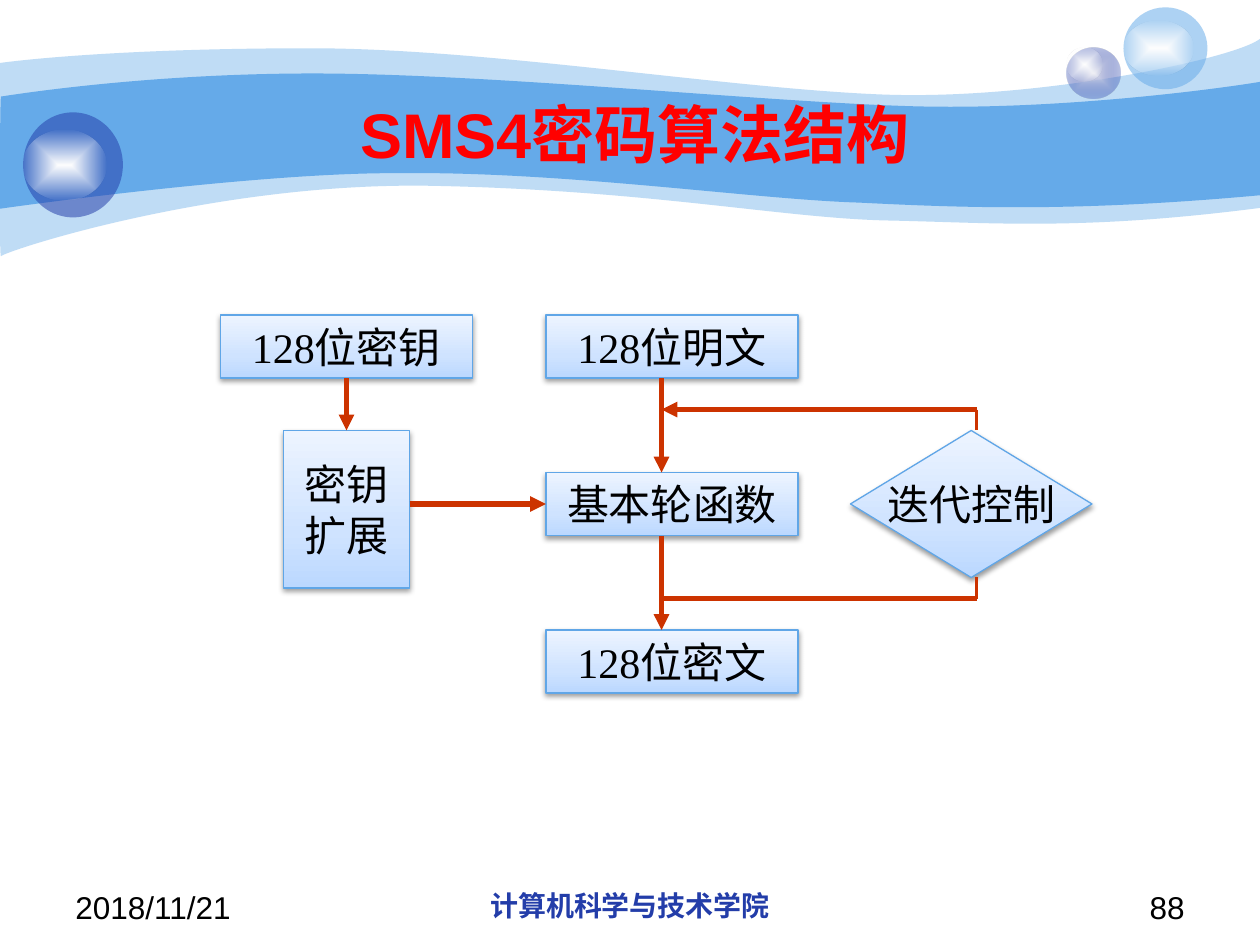
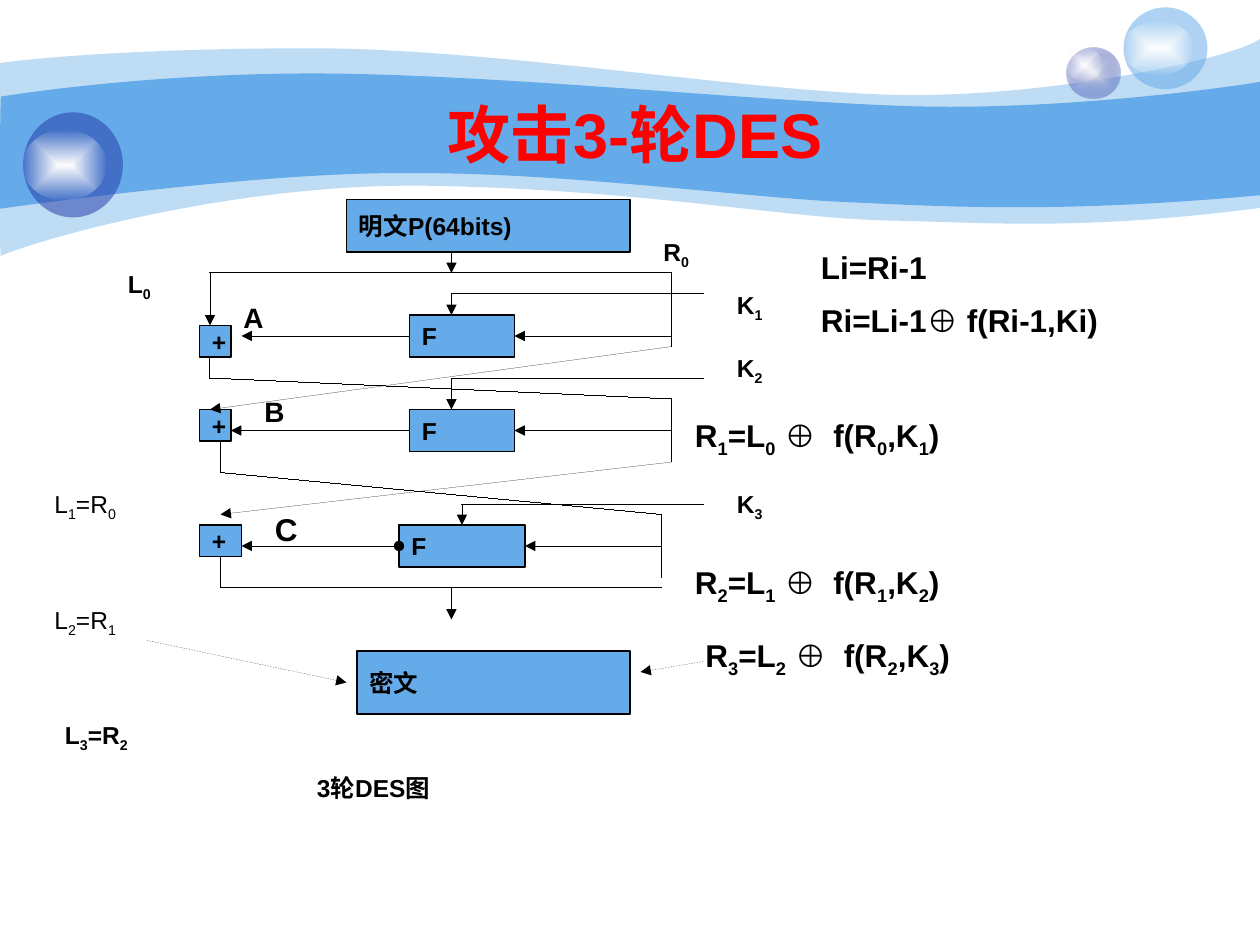
"""Build two cipher slides: the SMS4 structure and the attack on 3-round DES."""
from itertools import pairwise

from lxml import etree
from pptx import Presentation
from pptx.dml.color import RGBColor
from pptx.enum.dml import MSO_LINE
from pptx.enum.shapes import MSO_CONNECTOR, MSO_SHAPE
from pptx.enum.text import MSO_ANCHOR, PP_ALIGN
from pptx.oxml import parse_xml
from pptx.oxml.ns import nsdecls, qn
from pptx.util import Pt

PX = 7620
COLORS = {
    "sky": "65AAE9", "navy": "233DA9", "white": "FFFFFF", "mist": "E1E2ED",
    "red": "FF0000", "black": "000000", "arrow": "CC3300", "edge": "60A6E7",
    "ice1": "BBD8FF", "ice2": "CFE3FF", "ice3": "EDF4FF",
}
SKY = [(0, "sky", 100)]
GLOSS = [(0, "white", 100), (100, "white", 0)]
ICE = [(0, "ice1", 100), (35, "ice2", 100), (100, "ice3", 100)]
CENTRE = '<a:path path="shape"><a:fillToRect l="50000" t="50000" r="50000" b="50000"/></a:path>'
UPWARD = '<a:lin ang="16200000" scaled="0"/>'
SHADOW = (f'<a:outerShdw {nsdecls("a")} blurRad="40000" dist="20000" dir="5400000" rotWithShape="0">'
          '<a:srgbClr val="000000"><a:alpha val="38000"/></a:srgbClr></a:outerShdw>')

ARIAL = {"name": "Arial", "bold": False}
BOLD = {"name": "Arial", "bold": True}
MIDDLE = {"vertical_anchor": MSO_ANCHOR.MIDDLE}
FREE = MIDDLE | {"word_wrap": False}
WRAP = {"word_wrap": True}
STYLES = {
    "title": (BOLD, 36, "red", PP_ALIGN.CENTER, MIDDLE | WRAP),
    "date": (ARIAL, 18, "black", PP_ALIGN.LEFT, WRAP),
    "school": (BOLD, 16, "navy", PP_ALIGN.CENTER, WRAP),
    "number": (ARIAL, 18, "black", PP_ALIGN.RIGHT, WRAP),
    "step": ({"name": "Times New Roman"}, 24, "black", PP_ALIGN.CENTER, FREE),
    "block": (BOLD, 14, "black", PP_ALIGN.LEFT, FREE),
    "label": (BOLD, 14, "black", PP_ALIGN.LEFT, WRAP),
    "thin": (ARIAL, 14, "black", PP_ALIGN.LEFT, WRAP),
    "letter": (BOLD, 16, "black", PP_ALIGN.LEFT, WRAP),
    "formula": (BOLD, 18, "black", PP_ALIGN.LEFT, WRAP),
}


def add(s, kind, at, text="", style="label", stops=(), shade=CENTRE, edge=None, shadow=False):
    """Add a text box, preset shape or curved outline; ~ switches subscript on and off."""
    if kind is None:
        sp = s.shapes.add_textbox(*[v * PX for v in at])
    elif kind == "outline":
        points = [pt for part in at for pt in zip(part[::2], part[1::2])]
        fb = s.shapes.build_freeform(*points[0], scale=PX)
        fb.add_line_segments(points[1:], close=True)
        sp = fb.convert_to_shape()
        steps = iter(list(sp._element.iter(qn("a:lnTo"))))
        for part in at[1:]:
            step = next(steps)
            if len(part) == 6:
                curve = etree.Element(qn("a:cubicBezTo"))
                step.addprevious(curve)
                for leg in (step, next(steps), next(steps)):
                    curve.append(leg[0])
                    leg.getparent().remove(leg)
    else:
        sp = s.shapes.add_shape(kind, *[v * PX for v in at])
    if kind is not None:
        sp.shadow.inherit = False
        if edge:
            sp.line.color.rgb = RGBColor.from_string(COLORS[edge])
            sp.line.width = Pt(0.75)
        else:
            sp.line.fill.background()
        inks = [(pos, f'<a:srgbClr val="{COLORS[c]}"><a:alpha val="{a * 1000}"/></a:srgbClr>')
                for pos, c, a in stops]
        if len(inks) == 1:
            xml = f'<a:solidFill {nsdecls("a")}>{inks[0][1]}</a:solidFill>'
        else:
            marks = "".join(f'<a:gs pos="{pos * 1000}">{ink}</a:gs>' for pos, ink in inks)
            xml = (f'<a:gradFill {nsdecls("a")} rotWithShape="1"><a:gsLst>{marks}</a:gsLst>'
                   f'{shade}</a:gradFill>')
        sp._element.spPr.insert(2, parse_xml(xml))
        if shadow:
            sp._element.spPr.find(qn("a:effectLst")).append(parse_xml(SHADOW))
    if not text:
        return
    font, size, color, align, frame = STYLES[style]
    tf = sp.text_frame
    for name, value in frame.items():
        setattr(tf, name, value)
    for i, row in enumerate(text.split("\n")):
        p = tf.add_paragraph() if i else tf.paragraphs[0]
        p.alignment = align
        if i and style == "formula":
            p.space_before = Pt(size / 2)
        for j, part in enumerate(row.split("~")):
            if part:
                r = p.add_run()
                r.text = part
                for name, value in (font | {"size": Pt(size)}).items():
                    setattr(r.font, name, value)
                r.font.color.rgb = RGBColor.from_string(COLORS[color])
                if j % 2:
                    r.font._element.set("baseline", "-25000")


def route(s, points, color="black", width=None, head=None, tail="triangle", dash=None):
    """Join points with straight connectors, with ends on the first and last one."""
    legs = list(pairwise(points))
    for i, (start, end) in enumerate(legs):
        cx = s.shapes.add_connector(MSO_CONNECTOR.STRAIGHT, *[v * PX for v in start + end])
        cx._element.remove(cx._element.find(qn("p:style")))
        cx.line.color.rgb = RGBColor.from_string(COLORS[color])
        if width:
            cx.line.width = Pt(width)
        if dash:
            cx.line.dash_style = dash
        ln = cx.line._get_or_add_ln()
        if head and i == 0:
            etree.SubElement(ln, qn("a:headEnd"), type=head)
        if tail and i == len(legs) - 1:
            etree.SubElement(ln, qn("a:tailEnd"), type=tail)
        etree.SubElement(cx._element.spPr, qn("a:effectLst"))


prs = Presentation()
prs.slide_width, prs.slide_height = 1200 * PX, 900 * PX

BANDS = [
    (41, [(0, 60), (29, 56, 128, 46, 296, 46), (463, 46, 690, 84, 839, 90),
          (986, 96, 1176, 56, 1200, 37), (1200, 198), (1030, 220, 944, 212, 846, 210),
          (746, 208, 618, 181, 412, 177), (206, 173, 5, 239, 1, 244), (-1, 250, 0, 90, 0, 60)]),
    (100, [(1, 92), (2, 92, 132, 70, 298, 70), (463, 70, 714, 96, 862, 101),
           (1009, 106, 1171, 83, 1200, 78), (1200, 186), (1024, 202, 918, 198, 818, 193),
           (719, 190, 536, 163, 380, 165), (244, 164, -2, 199, -1, 199), (0, 199, 0, 92, 1, 92)]),
]
BUBBLES = [
    ((1016, 45, 51, 49), [(0, "mist", 100), (100, "navy", 31)]),
    ((1016, 45, 34, 33), GLOSS),
    ((1070, 7, 80, 78), [(0, "sky", 53)]),
    ((1070, 20, 67, 52), GLOSS),
    ((22, 107, 95, 100), [(0, "navy", 53)]),
    ((22, 124, 79, 67), GLOSS),
]
slides = []
for title in ("SMS4密码算法结构", "攻击3-轮DES"):
    s = prs.slides.add_slide(prs.slide_layouts[6])
    for alpha, outline in BANDS:
        add(s, "outline", outline, stops=[(0, "sky", alpha)])
    for at, stops in BUBBLES:
        add(s, MSO_SHAPE.OVAL, at, stops=stops)
    add(s, None, (120, 90, 970, 74), title, "title")
    slides.append(s)
sms4, des = slides

for x, w, text, style in [(60, 280, "2018/11/21", "date"),
                          (410, 380, "计算机科学与技术学院", "school"),
                          (860, 280, "88", "number")]:
    add(sms4, None, (x, 840, w, 42), text, style)

RECT = MSO_SHAPE.RECTANGLE
for kind, at, text in [
    (RECT, (520, 450, 240, 60), "基本轮函数"),
    (RECT, (520, 300, 240, 60), "128位明文"),
    (RECT, (520, 600, 240, 60), "128位密文"),
    (RECT, (270, 410, 120, 150), "密钥\n扩展"),
    (RECT, (210, 300, 240, 60), "128位密钥"),
    (MSO_SHAPE.FLOWCHART_DECISION, (810, 410, 230, 140), "迭代控制"),
]:
    add(sms4, kind, at, text, "step", ICE, UPWARD, "edge", shadow=True)

for points, width, head, tail in [
    ([(330, 360), (330, 410)], 3, None, "triangle"),
    ([(390, 480), (520, 480)], 3, None, "triangle"),
    ([(630, 360), (630, 450)], 3, None, "triangle"),
    ([(630, 510), (630, 600)], 3, None, "triangle"),
    ([(630, 570), (930, 570)], 3, None, None),
    ([(930, 570), (930, 550)], 2.25, None, None),
    ([(630, 390), (930, 390)], 3, "triangle", None),
    ([(930, 390), (930, 410)], 2.25, None, None),
]:
    route(sms4, points, "arrow", width, head, tail)

for at, text in [
    ((330, 190, 270, 50), "明文P(64bits)"),
    ((390, 300, 100, 40), "F"),
    ((390, 390, 100, 40), "F"),
    ((380, 500, 120, 40), "F"),
    ((190, 310, 30, 30), "+"),
    ((190, 390, 30, 30), "+"),
    ((190, 500, 40, 30), "+"),
    ((340, 620, 260, 60), "密文"),
]:
    add(des, RECT, at, text, "block", SKY, edge="black")

for points in [
    [(430, 240), (430, 260)],
    [(640, 260), (200, 260), (200, 310)],
    [(390, 320), (230, 320)],
    [(670, 280), (430, 280), (430, 300)],
    [(640, 260), (640, 330), (200, 390)],
    [(640, 320), (490, 320)],
    [(670, 360), (430, 360), (430, 390)],
    [(390, 410), (220, 410)],
    [(640, 410), (490, 410)],
    [(200, 340), (200, 360), (640, 380), (640, 440), (210, 490)],
    [(670, 480), (440, 480), (440, 500)],
    [(630, 520), (500, 520)],
    [(430, 560), (430, 590)],
]:
    route(des, points)
for points in [[(210, 420), (210, 450), (630, 490), (630, 550)],
               [(210, 530), (210, 560), (630, 560)]]:
    route(des, points, tail=None)
for points in [[(670, 630), (610, 640)], [(140, 610), (330, 650)]]:
    route(des, points, dash=MSO_LINE.ROUND_DOT)
route(des, [(380, 520), (230, 520)], head="oval")

for at, text, style in [
    ((110, 250, 70, 60), "L~0~", "label"),
    ((620, 220, 80, 60), "R~0~", "label"),
    ((690, 270, 80, 60), "K~1~", "label"),
    ((690, 330, 100, 60), "K~2~", "label"),
    ((690, 460, 80, 60), "K~3~", "label"),
    ((770, 230, 370, 102), "Li=Ri-1\nRi=Li-1⊕ f(Ri-1,Ki)", "formula"),
    ((650, 390, 310, 48), "R~1~=L~0~ ⊕  f(R~0~,K~1~)", "formula"),
    ((650, 530, 310, 48), "R~2~=L~1~ ⊕  f(R~1~,K~2~)", "formula"),
    ((660, 600, 350, 91), "R~3~=L~2~ ⊕  f(R~2~,K~3~)", "formula"),
    ((40, 460, 160, 60), "L~1~=R~0~", "thin"),
    ((40, 570, 150, 60), "L~2~=R~1~", "thin"),
    ((50, 680, 150, 60), "L~3~=R~2~", "label"),
    ((290, 730, 330, 60), "3轮DES图", "label"),
    ((220, 280, 50, 44), "A", "letter"),
    ((240, 370, 50, 44), "B", "letter"),
    ((250, 480, 50, 48), "C", "formula"),
]:
    add(des, None, at, text, style)

prs.save("out.pptx")
